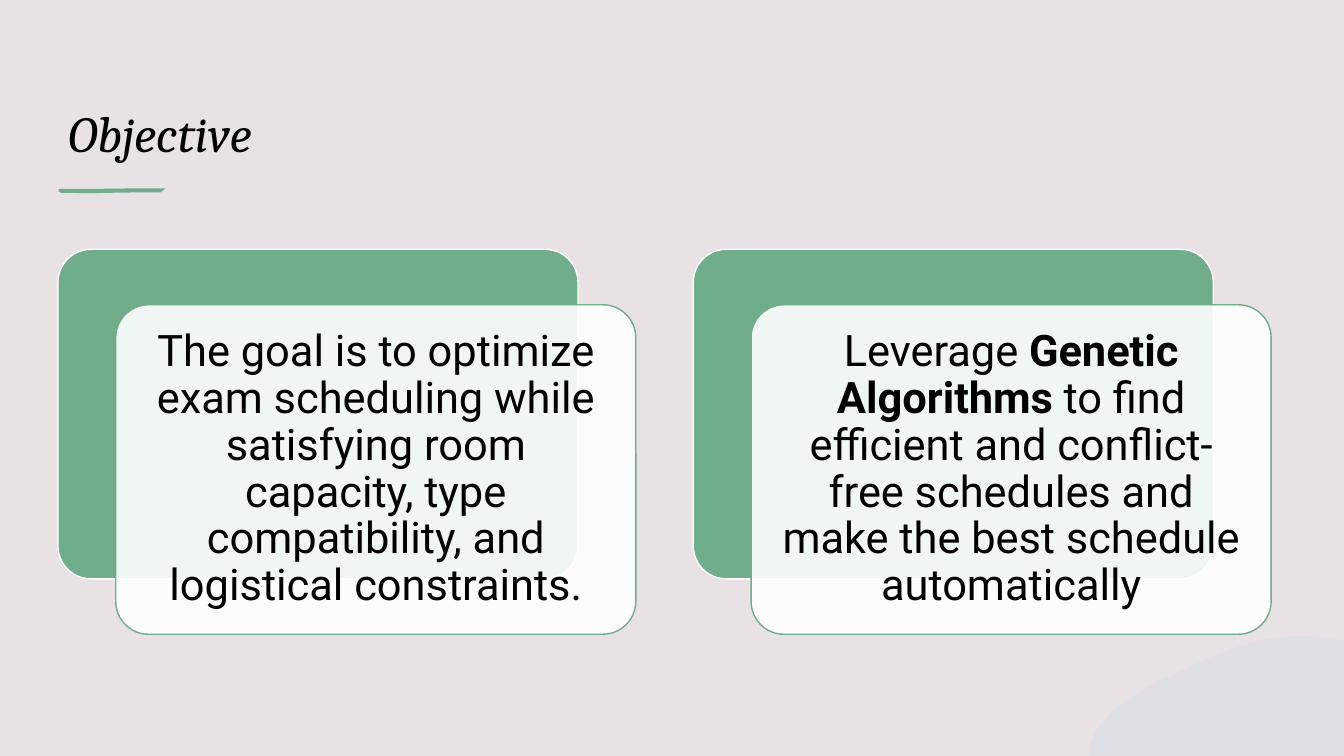
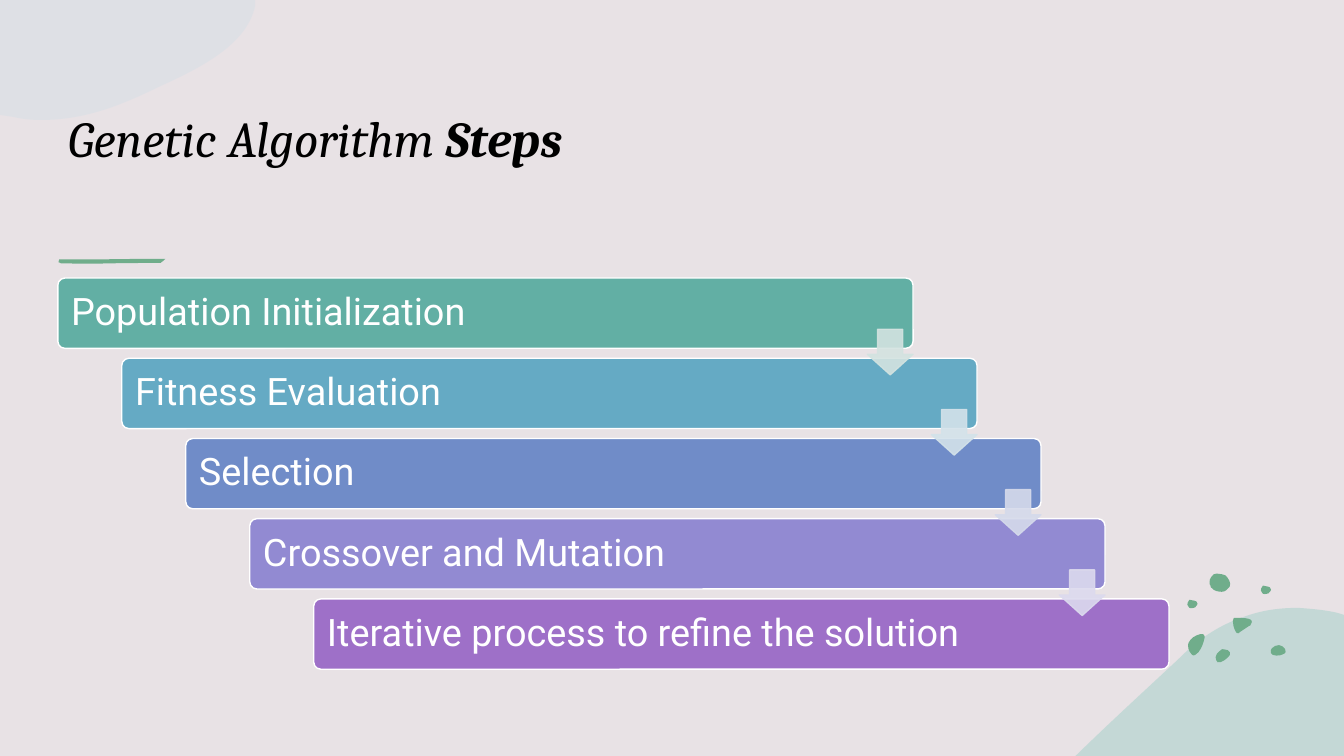
from dataclasses import dataclass
from typing import NamedTuple

from lxml.etree import SubElement
from pptx import Presentation
from pptx.dml.color import RGBColor
from pptx.enum.shapes import MSO_SHAPE as Preset
from pptx.enum.text import MSO_ANCHOR as Anchor, MSO_AUTO_SIZE as AutoSize, PP_ALIGN as Align
from pptx.oxml.ns import qn
from pptx.util import Pt


@dataclass(frozen=True)
class Theme:
    background: str = "E8E2E5"
    green: str = "70AD8B"
    white: str = "FFFFFF"
    ink: str = "000000"
    pale_blue: str = "C1DDE7"
    teal: str = "A1CFC8"
    title_font: str = "Cambria"
    body_font: str = "Roboto"
    title_size: float = 36
    card_size: float = 31
    step_size: float = 27


THEME = Theme()
SLIDE_W, SLIDE_H = 960, 540
TITLE_ONLY = 5


class Span(NamedTuple):
    text: str
    bold: bool = False


class Box(NamedTuple):
    left: float
    top: float
    width: float
    height: float

    def moved(self, right: float, down: float) -> "Box":
        return self._replace(left=self.left + right, top=self.top + down)

    def lengths(self) -> list:
        return [Pt(length) for length in self]


class Paint(NamedTuple):
    fill: str
    fill_alpha: int = 100
    line: str | None = None
    line_alpha: int = 100


class TextStyle(NamedTuple):
    font: str
    size: float
    color: str
    align: Align = Align.LEFT
    italic: bool = False
    line_spacing: float = 0.9


class Step(NamedTuple):
    label: str
    color: str
    arrow_color: str | None = None


class Pebble(NamedTuple):
    left: float
    top: float
    outline: list


# Outlines: a start point, then pairs for lines and sextuples for cubic curves.
CORNER_WASH = [
    (0, 0), (182.2, 0), (182.2, 4.3),
    (176.4, 31.7, 144, 48.2, 113.8, 61.9), (88.6, 74.2, 61.9, 85.7, 29.5, 85.7),
    (22.3, 85.7, 15.8, 85, 9.4, 83.5), (0, 82.1),
]
HILL = [
    (927.4, 434.2), (936.7, 434.9, 946.1, 435.6, 955.4, 437.8),
    (960, 439.2), (960, 540), (768.2, 540), (769, 539.3),
    (793.4, 515.5, 818.6, 492.5, 841.7, 470.9), (857.5, 455, 872.6, 445.7, 890.6, 439.9),
    (902.9, 435.6, 915.1, 434.2, 927.4, 434.2),
]
BRUSH_STROKE = [
    (0.5, 0.3), (22, 0.4), (54, 0), (76.3, 0), (75, 1.2), (73, 2.8),
    (46, 3), (24, 3.4), (2, 3.2), (0, 2.3),
]
SMALL_PEBBLE = [
    (0, 3.6), (0, 3.6, 0, 0.7, 1.4, 0), (2.9, 0, 3.6, 0, 5, 0.7),
    (5.8, 0.7, 7.2, 1.4, 7.2, 2.9), (7.2, 3.6, 6.5, 4.3, 5.8, 5),
    (5.8, 5, 5.8, 5.8, 4.3, 5.8), (3.6, 5.8, 2.2, 6.5, 1.4, 5.8),
    (0.7, 4.3, 0, 4.3, 0, 3.6),
]
PEBBLES = [
    Pebble(868.3, 463.7, [
        (5, 0), (6.5, 0, 7.2, 0, 8.6, 0.7), (10.1, 1.4, 10.8, 2.9, 10.1, 4.3),
        (8.6, 6.5, 4.3, 10.1, 1.4, 9.4), (0.7, 8.6, 0, 7.2, 0, 5.8),
        (0, 4.3, 1.4, 2.2, 2.9, 1.4), (3.6, 0.7, 4.3, 0, 5, 0)]),
    Pebble(848.9, 452.9, [
        (8.6, 0), (10.1, 0, 11.5, 0, 11.5, 1.4), (11.5, 2.9),
        (10.8, 6.5, 9.4, 10.1, 7.2, 13), (5.8, 14.4, 3.6, 16.6, 2.2, 14.4),
        (0, 12.2, -0.7, 8.6, 0, 6.5), (0.7, 4.3, 2.2, 3.6, 3.6, 2.2),
        (4.3, 2.2, 6.5, 0, 8.6, 0)]),
    Pebble(907.9, 460.8, [
        (5.8, 0), (7.2, 0, 9.4, 1.4, 10.1, 2.9), (10.8, 4.3, 10.8, 5.8, 8.6, 6.5),
        (6.5, 7.9, 0.7, 7.9, 0, 5.8), (-0.7, 4.3, 0, 2.9, 0.7, 2.2),
        (2.2, 0.7, 3.6, 0, 5.8, 0)]),
    Pebble(864, 409.7, [
        (0.7, 8.6), (0, 8.6, -0.7, 4.3, 1.4, 2.2), (2.9, 0.7, 2.9, 0, 5, 0),
        (7.2, 0, 10.1, 0.7, 11.5, 1.4), (13, 2.9, 15.8, 6.5, 14.4, 9.4),
        (12.2, 11.5, 11.5, 13, 8.6, 13), (6.5, 13, 2.9, 12.2, 2.2, 10.8),
        (0.7, 10.1, 0.7, 9.4, 0.7, 8.6)]),
    Pebble(900.7, 418.3, SMALL_PEBBLE),
    Pebble(848.2, 428.4, SMALL_PEBBLE),
    Pebble(880.6, 441.4, [
        (3.6, 0), (7.9, 0, 15.8, 0, 13, 4.3), (13, 5, 12.2, 5.8, 11.5, 5.8),
        (9.4, 7.2, 7.2, 8.6, 5, 10.1), (4.3, 10.8, 3.6, 11.5, 2.9, 10.8),
        (2.2, 10.1), (0.7, 7.2, 0, 5, 0, 2.2), (0, 1.4, 0, 0.7, 0.7, 0)]),
]

CARDS = [
    [Span("The goal is to optimize exam scheduling while satisfying room capacity, "
          "type compatibility, and logistical constraints.")],
    [Span("Leverage "), Span("Genetic Algorithms", bold=True),
     Span(" to find efficient and conflict-free schedules and make the best schedule automatically")],
]
FIRST_CARD = Box(41.4, 178.1, 371.5, 235.4)
CARD_PITCH = 453.8
CARD_OVERLAP = (41.3, 39.6)

STEPS = [
    Step("Population Initialization", "62AFA4", "D3E3E0"),
    Step("Fitness Evaluation", "65AAC4", "D3E2EA"),
    Step("Selection", "708CC8", "D5DAEB"),
    Step("Crossover and Mutation", "928AD2", "DCDAEE"),
    Step("Iterative process to refine the solution", "9E70C8"),
]
FIRST_STEP = Box(41.3, 198.6, 610.9, 50.2)
STEP_SHIFT = (45.7, 57.3)
ARROW_SIDE = 32.6
ARROW_DROP = 36.6


def apply_paint(shape, paint: Paint) -> None:
    shape.shadow.inherit = False
    shape.fill.solid()
    shape.fill.fore_color.rgb = RGBColor.from_string(paint.fill)
    if paint.line:
        shape.line.width = Pt(1)
        shape.line.color.rgb = RGBColor.from_string(paint.line)
    else:
        shape.line.fill.background()
    for parent, alpha in (("", paint.fill_alpha), ("a:ln/", paint.line_alpha)):
        if alpha < 100:
            names = f"{parent}a:solidFill/a:srgbClr".split("/")
            color = shape.element.spPr.find("/".join(map(qn, names)))
            SubElement(color, qn("a:alpha")).set("val", str(alpha * 1000))


def add_preset(slide, preset: Preset, box: Box, paint: Paint, adjustments: tuple = ()):
    shape = slide.shapes.add_shape(preset, *box.lengths())
    for index, value in enumerate(adjustments):
        shape.adjustments[index] = value
    apply_paint(shape, paint)
    return shape


def half_turn(outline: list) -> list:
    """Rotate an outline by 180 degrees about the slide centre."""
    return [tuple((SLIDE_H if index % 2 else SLIDE_W) - value
                  for index, value in enumerate(segment)) for segment in outline]


def add_outline(slide, outline: list, paint: Paint, left: float = 0, top: float = 0) -> None:
    """Draw a closed outline, joining each three points of a sextuple into one curve."""
    points = [(Pt(x + left), Pt(y + top))
              for segment in outline for x, y in zip(segment[::2], segment[1::2])]
    builder = slide.shapes.build_freeform(*points[0])
    builder.add_line_segments(points[1:], close=False)
    shape = builder.convert_to_shape()
    contour = next(shape.element.iter(qn("a:path")))
    lines = iter(contour.findall(qn("a:lnTo")))
    for segment in outline[1:]:
        first = next(lines)
        if len(segment) == 6:
            first.tag = qn("a:cubicBezTo")
            for _ in range(2):
                control = next(lines)
                first.append(control[0])
                contour.remove(control)
    SubElement(contour, qn("a:close"))
    apply_paint(shape, paint)


def write_text(frame, spans: list[Span], style: TextStyle, anchor: Anchor) -> None:
    frame.word_wrap = True
    frame.auto_size = AutoSize.NONE
    frame.vertical_anchor = anchor
    paragraph = frame.paragraphs[0]
    paragraph.alignment = style.align
    paragraph.line_spacing = style.line_spacing
    for span in spans:
        run = paragraph.add_run()
        run.text = span.text
        run.font.name = style.font
        run.font.size = Pt(style.size)
        run.font.bold = span.bold
        run.font.italic = style.italic
        run.font.color.rgb = RGBColor.from_string(style.color)


def set_insets(frame, inset: float) -> None:
    frame.margin_left = frame.margin_right = Pt(inset)
    frame.margin_top = frame.margin_bottom = Pt(inset)


def add_titled_slide(deck, title: list[Span], box: Box, stroke_top: float, bottom_inset: float = 3.6):
    slide = deck.slides.add_slide(deck.slide_layouts[TITLE_ONLY])
    heading = slide.shapes.title
    heading.left, heading.top, heading.width, heading.height = box.lengths()
    heading.text_frame.margin_bottom = Pt(bottom_inset)
    style = TextStyle(THEME.title_font, THEME.title_size, THEME.ink, italic=True, line_spacing=1)
    write_text(heading.text_frame, title, style, Anchor.BOTTOM)
    add_outline(slide, BRUSH_STROKE, Paint(THEME.green), 41.8, stroke_top)
    return slide


def add_objective(deck) -> None:
    slide = add_titled_slide(deck, [Span("Objective")], Box(41.4, 54.7, 793.4, 64.8), 134.6)
    add_outline(slide, half_turn(CORNER_WASH), Paint(THEME.pale_blue, 25))
    style = TextStyle(THEME.body_font, THEME.card_size, THEME.ink, Align.CENTER)
    for index, spans in enumerate(CARDS):
        back = FIRST_CARD.moved(index * CARD_PITCH, 0)
        add_preset(slide, Preset.ROUNDED_RECTANGLE, back,
                   Paint(THEME.green, line=THEME.white), (0.1,))
        card = add_preset(slide, Preset.ROUNDED_RECTANGLE, back.moved(*CARD_OVERLAP),
                          Paint(THEME.white, 90, THEME.green), (0.1,))
        set_insets(card.text_frame, 9.3)
        write_text(card.text_frame, spans, style, Anchor.MIDDLE)


def add_algorithm_steps(deck) -> None:
    title = [Span("Genetic Algorithm "), Span("Steps", bold=True)]
    slide = add_titled_slide(deck, title, Box(41.4, 61.9, 793.4, 104.4), 185, bottom_inset=46.8)
    add_outline(slide, CORNER_WASH, Paint(THEME.pale_blue, 25))
    add_outline(slide, HILL, Paint(THEME.teal, 50))
    for pebble in PEBBLES:
        add_outline(slide, pebble.outline, Paint(THEME.green), pebble.left, pebble.top)

    style = TextStyle(THEME.body_font, THEME.step_size, THEME.white)
    boxes = [FIRST_STEP.moved(index * STEP_SHIFT[0], index * STEP_SHIFT[1])
             for index in range(len(STEPS))]
    for step, box in zip(STEPS, boxes):
        bar = add_preset(slide, Preset.ROUNDED_RECTANGLE, box,
                         Paint(step.color, line=THEME.white), (0.1,))
        set_insets(bar.text_frame, 8)
        write_text(bar.text_frame, [Span(step.label)], style, Anchor.MIDDLE)
    for step, box in zip(STEPS, boxes):
        if step.arrow_color:
            arrow = Box(box.left + box.width - ARROW_SIDE, box.top + ARROW_DROP, ARROW_SIDE, ARROW_SIDE)
            add_preset(slide, Preset.DOWN_ARROW, arrow,
                       Paint(step.arrow_color, 90, step.arrow_color, 90), (0.55, 0.45))


def main() -> None:
    deck = Presentation()
    deck.slide_width, deck.slide_height = Pt(SLIDE_W), Pt(SLIDE_H)
    backdrop = deck.slide_master.background.fill
    backdrop.solid()
    backdrop.fore_color.rgb = RGBColor.from_string(THEME.background)
    add_objective(deck)
    add_algorithm_steps(deck)
    deck.save("out.pptx")


if __name__ == "__main__":
    main()
